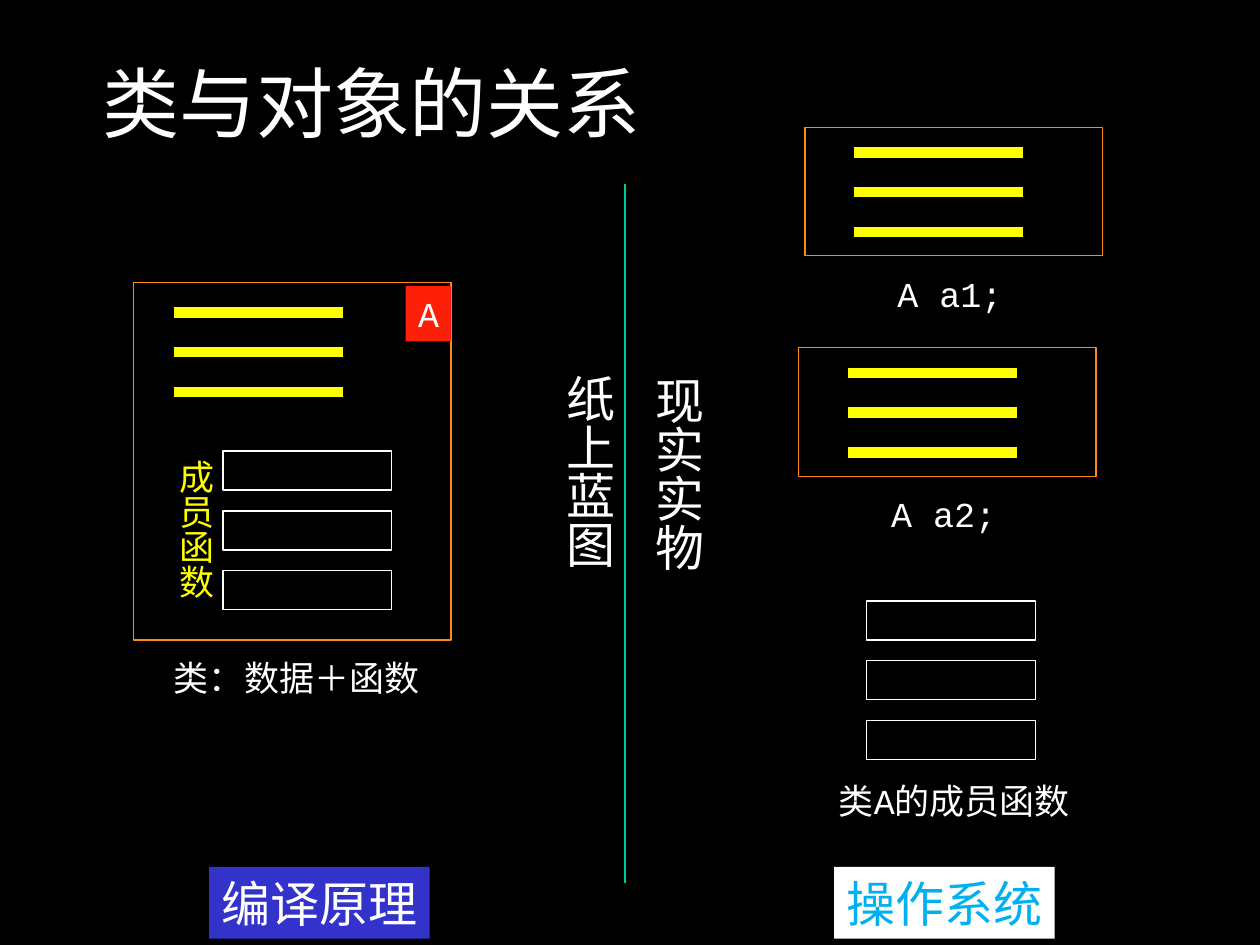
import pptx
import pptx.dml.color
import pptx.enum.shapes
import pptx.enum.text
import pptx.oxml
import pptx.oxml.ns
import pptx.util

Inches = pptx.util.Inches
Pt = pptx.util.Pt
RGBColor = pptx.dml.color.RGBColor
PP_ALIGN = pptx.enum.text.PP_ALIGN
MSO_ANCHOR = pptx.enum.text.MSO_ANCHOR

BLACK = RGBColor(0x00, 0x00, 0x00)
WHITE = RGBColor(0xFF, 0xFF, 0xFF)
ORANGE = RGBColor(0xFF, 0x8B, 0x17)
YELLOW = RGBColor(0xFF, 0xFF, 0x00)
RED = RGBColor(0xFE, 0x1F, 0x08)
GREEN = RGBColor(0x00, 0xCC, 0x99)
INDIGO = RGBColor(0x33, 0x33, 0xCC)
SKY = RGBColor(0x00, 0xB0, 0xF0)

CODE_FONT = "Courier New"
CHINESE_FONT = "Noto Sans CJK SC"
ROW_STEP = 0.63 / 2
BOX_STEP = 0.95 / 2
ITEM_WIDTH = 1.34


def format_text(shape, text, size, color, font=CODE_FONT, align=PP_ALIGN.LEFT):
    frame = shape.text_frame
    frame.text = text
    paragraph = frame.paragraphs[0]
    paragraph.alignment = align
    run = paragraph.runs[0]
    run.font.size = Pt(size)
    run.font.color.rgb = color
    run.font.name = font
    east_asian = pptx.oxml.parse_xml(
        f'<a:ea {pptx.oxml.ns.nsdecls("a")} typeface="{CHINESE_FONT}"/>')
    run.font._element.find(pptx.oxml.ns.qn("a:latin")).addnext(east_asian)


def add_label(shapes, box, text, size, color, font=CODE_FONT,
              align=PP_ALIGN.CENTER, fill=None, vertical=False):
    """Add an unwrapped text box, with East Asian vertical text on request."""
    label = shapes.add_textbox(*map(Inches, box))
    format_text(label, text, size, color, font, align)
    frame = label.text_frame
    frame.word_wrap = False
    frame.auto_size = pptx.enum.text.MSO_AUTO_SIZE.SHAPE_TO_FIT_TEXT
    if vertical:
        frame.margin_left = frame.margin_right = Inches(0.05)
        frame.margin_top = frame.margin_bottom = Inches(0.05)
        frame._txBody.bodyPr.set("vert", "eaVert")
    if fill is not None:
        label.fill.solid()
        label.fill.fore_color.rgb = fill


def add_outline(shapes, box, color):
    outline = shapes.add_shape(
        pptx.enum.shapes.MSO_SHAPE.RECTANGLE, *map(Inches, box))
    outline.shadow.inherit = False
    outline.fill.background()
    outline.line.color.rgb = color
    outline.line.width = Pt(0.75)


def add_line(shapes, start, end, color, width):
    line = shapes.add_connector(
        pptx.enum.shapes.MSO_CONNECTOR.STRAIGHT, *map(Inches, start + end))
    line.line.color.rgb = color
    line.line.width = Pt(width)
    line._element.spPr.append(pptx.oxml.parse_xml(
        f'<a:effectLst {pptx.oxml.ns.nsdecls("a")}/>'))


def add_data_members(shapes, left, top):
    for row in range(3):
        y = top + row * ROW_STEP
        add_line(shapes, (left, y), (left + ITEM_WIDTH, y), YELLOW, 6)


def add_member_functions(shapes, left, top):
    for row in range(3):
        box = (left, top + row * BOX_STEP, ITEM_WIDTH, 0.31)
        add_outline(shapes, box, WHITE)


def add_object(slide, left, top, declaration):
    shapes = slide.shapes.add_group_shape().shapes
    add_outline(shapes, (left, top, 2.36, 1.02), ORANGE)
    add_data_members(shapes, left + 0.39, top + 0.2)
    add_label(shapes, (left + 0.6, top + 1.1, 1.1, 0.44),
              declaration, 20, WHITE)


def add_class(slide):
    shapes = slide.shapes.add_group_shape().shapes
    add_outline(shapes, (1.06, 2.24, 2.52, 2.84), ORANGE)
    add_data_members(shapes, 1.38, 2.48)
    add_member_functions(shapes, 1.77, 3.58)
    add_label(shapes, (1.28, 5.16, 2.15, 0.44), "类：数据＋函数", 20, WHITE)
    add_label(shapes, (3.22, 2.27, 0.36, 0.44), "A", 20, WHITE, fill=RED)
    add_label(shapes, (1.24, 3.55, 0.53, 1.22), "成员函数", 20, YELLOW,
              vertical=True)


def add_shared_functions(slide):
    shapes = slide.shapes.add_group_shape().shapes
    add_member_functions(shapes, 6.88, 4.77)
    add_label(shapes, (6.49, 6.14, 2.17, 0.44), "类A的成员函数", 20, WHITE)


def set_title(slide, text):
    title = slide.shapes.title
    title.left, title.top, title.width, title.height = map(
        Inches, (0.71, 0.17, 8.5, 1.28))
    title.text_frame.vertical_anchor = MSO_ANCHOR.MIDDLE
    format_text(title, text, 44, WHITE)


def main():
    presentation = pptx.Presentation()
    presentation.slide_width = Inches(10)
    presentation.slide_height = Inches(7.5)
    slide = presentation.slides.add_slide(presentation.slide_layouts[5])
    slide.background.fill.solid()
    slide.background.fill.fore_color.rgb = BLACK

    set_title(slide, "类与对象的关系")
    add_object(slide, 6.34, 2.76, "A a2;")
    add_object(slide, 6.39, 1.01, "A a1;")
    add_class(slide)
    add_shared_functions(slide)
    add_line(slide.shapes, (4.96, 1.46), (4.96, 7.01), GREEN, 0.75)

    for left, text, color, fill in ((6.62, "操作系统", SKY, WHITE),
                                    (1.66, "编译原理", WHITE, INDIGO)):
        add_label(slide.shapes, (left, 6.88, 1.75, 0.57), text, 28, color,
                  align=PP_ALIGN.LEFT, fill=fill)
    for left, top, text in ((4.3, 2.87, "纸上蓝图"), (5.01, 2.89, "现实实物")):
        add_label(slide.shapes, (left, top, 0.66, 1.66), text, 28, WHITE,
                  CHINESE_FONT, PP_ALIGN.LEFT, vertical=True)

    presentation.save("out.pptx")


if __name__ == "__main__":
    main()
